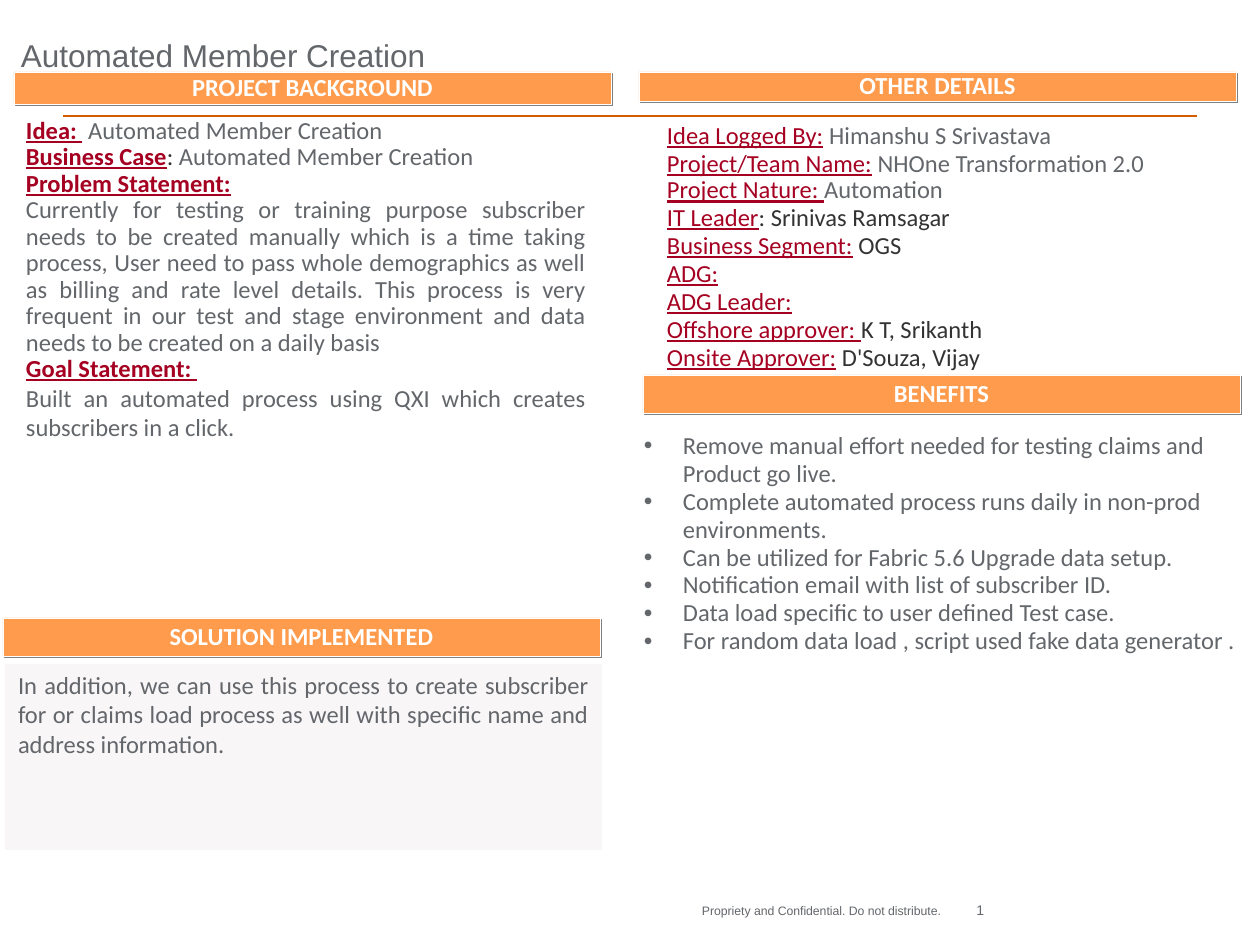
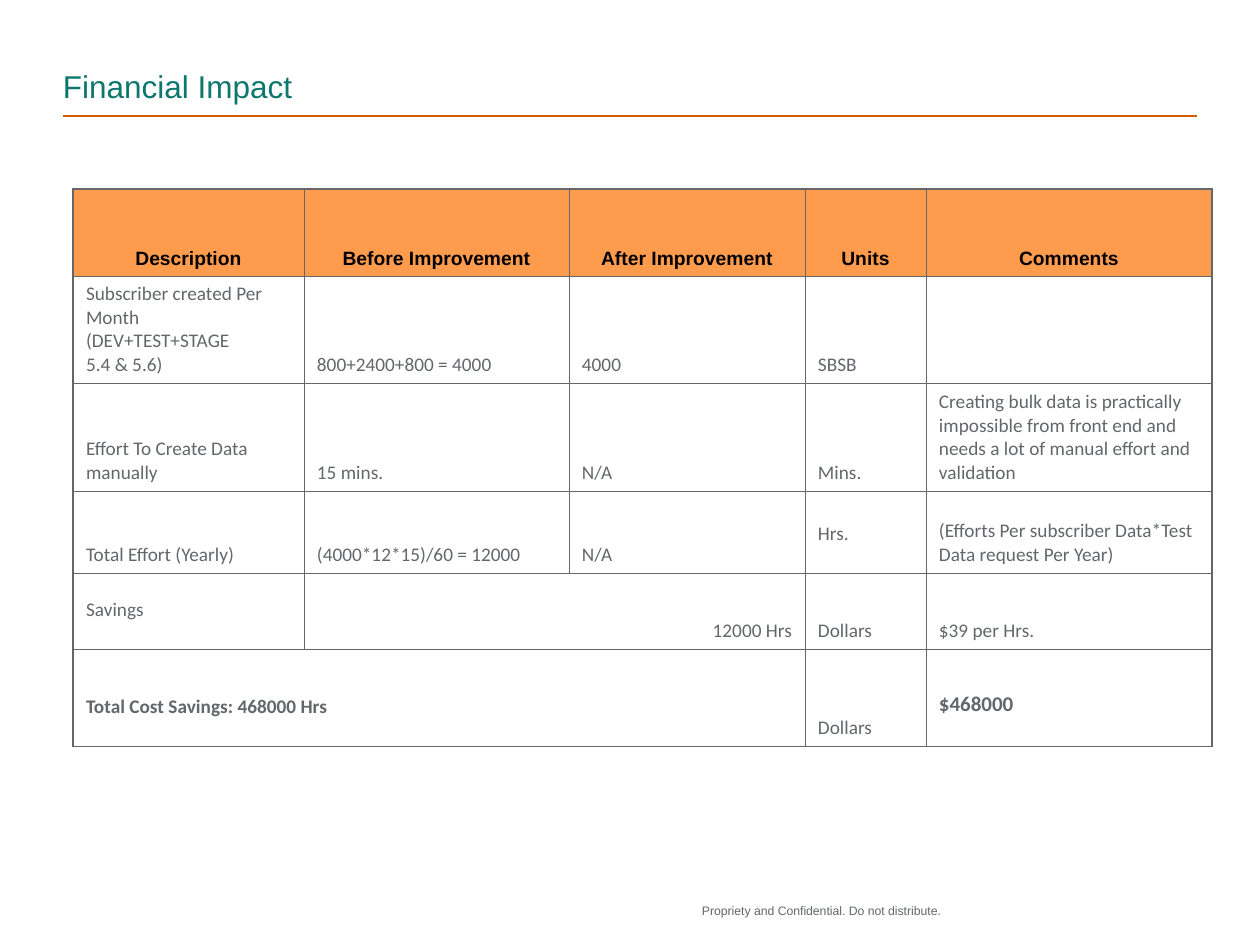
import collections

import pptx
import pptx.dml.color
import pptx.enum.shapes
import pptx.enum.text
import pptx.oxml
import pptx.oxml.ns
import pptx.util

RGB = pptx.dml.color.RGBColor
ALIGN = pptx.enum.text.PP_ALIGN
ANCHOR = pptx.enum.text.MSO_ANCHOR

# Shared colours
GREY = RGB(0x63, 0x66, 0x6A)
DARK = RGB(0x33, 0x33, 0x33)
BLACK = RGB(0, 0, 0)
WHITE = RGB(255, 255, 255)
RED = RGB(0xA5, 0x00, 0x21)
TEAL = RGB(0x0D, 0x77, 0x6E)
ORANGE = RGB(0xFF, 0x9B, 0x4C)
RULE = RGB(0xD4, 0x5D, 0x00)
PALE = RGB(0xF4, 0xF0, 0xF3)
SHADOW = RGB(0x80, 0x80, 0x80)

# Shared text styles
Style = collections.namedtuple("Style", "size color bold underline font",
                               defaults=(False, False, "Calibri"))
BODY = Style(14, GREY)
BODY_DARK = Style(14, DARK)
LABEL = Style(14, RED, underline=True)
BOLD_LABEL = LABEL._replace(bold=True)
BAND = Style(14, WHITE, bold=True)
CELL = Style(11, GREY)
CELL_BOLD = CELL._replace(bold=True)
HEADER = Style(11, BLACK, bold=True, font="Arial")

PX_PER_INCH = 126
INSETS = (13, 6, 13, 6)
NO_INSETS = (0, 0, 0, 0)


def px(length):
    return pptx.util.Emu(round(length * 914400 / PX_PER_INCH))


def xml(tag, body="", attributes=""):
    return pptx.oxml.parse_xml(
        f'<a:{tag} {pptx.oxml.ns.nsdecls("a")} {attributes}>{body}</a:{tag}>')


def color_xml(color, inner=""):
    return f'<a:srgbClr val="{color}">{inner}</a:srgbClr>'


# Text
def setup_frame(frame, insets=INSETS, anchor=ANCHOR.TOP, wrap=True):
    frame.word_wrap = wrap
    frame.vertical_anchor = anchor
    (frame.margin_left, frame.margin_top,
     frame.margin_right, frame.margin_bottom) = map(px, insets)


def write_paras(frame, paras, align=ALIGN.LEFT, spacing=1.0):
    """Write paragraphs, each a list of (text, style) runs."""
    added = []
    for index, runs in enumerate(paras):
        para = frame.add_paragraph() if index else frame.paragraphs[0]
        para.alignment = align
        para.line_spacing = spacing
        for text, style in runs:
            span = para.add_run()
            span.text = text
            font = span.font
            font.name = style.font
            font.size = pptx.util.Pt(style.size)
            font.bold = style.bold
            font.underline = style.underline
            font.color.rgb = style.color
        added.append(para)
    return added


def add_text(page, place, paras, align=ALIGN.LEFT, spacing=1.0, **frame_options):
    box = page.shapes.add_textbox(*map(px, place))
    setup_frame(box.text_frame, **frame_options)
    return write_paras(box.text_frame, paras, align, spacing)


def add_bullets(page, place, items):
    indent = px(39)
    for para in add_text(page, place, [[(item, BODY)] for item in items], spacing=0.95):
        properties = para._p.get_or_add_pPr()
        properties.set("marL", str(indent))
        properties.set("indent", str(-indent))
        properties.append(xml("buClr", color_xml(GREY)))
        properties.append(xml("buFont", attributes='typeface="Arial"'))
        properties.append(xml("buChar", attributes='char="•"'))


# Shapes
def add_rectangle(page, place, color):
    box = page.shapes.add_shape(pptx.enum.shapes.MSO_SHAPE.RECTANGLE, *map(px, place))
    box.shadow.inherit = False
    box.fill.solid()
    box.fill.fore_color.rgb = color
    box.line.fill.background()
    return box


def add_band(page, place, heading):
    box = add_rectangle(page, place, ORANGE)
    box.line.color.rgb = WHITE
    box.line.width = pptx.util.Pt(0.25)
    effects = box._element.spPr.find(pptx.oxml.ns.qn("a:effectLst"))
    effects.append(xml("outerShdw", color_xml(SHADOW),
                       'dist="17780" dir="2700000" algn="ctr" rotWithShape="0"'))
    setup_frame(box.text_frame, anchor=ANCHOR.MIDDLE, wrap=False)
    write_paras(box.text_frame, [[(heading, BAND)]], ALIGN.CENTER, 0.95)


def add_pale_panel(page, place, text):
    box = add_rectangle(page, place, PALE)
    tint = box._element.spPr.find(".//" + pptx.oxml.ns.qn("a:srgbClr"))
    tint.append(xml("alpha", attributes='val="60000"'))
    setup_frame(box.text_frame)
    write_paras(box.text_frame, [[(text, BODY)]], ALIGN.JUSTIFY)


def add_page(deck, title, title_place, title_color):
    """Add a page with the rule, footer and title that all pages share."""
    page = deck.slides.add_slide(deck.slide_layouts[6])
    rule = page.shapes.add_connector(
        pptx.enum.shapes.MSO_CONNECTOR.STRAIGHT, px(63), px(116), px(1197), px(116))
    rule.line.color.rgb = RULE
    rule.line.width = pptx.util.Pt(1)
    rule._element.spPr.append(xml("effectLst"))
    add_text(page, (702, 903, 262, 32),
             [[("Propriety and Confidential. Do not distribute.",
                Style(7, GREY, font="Arial"))]], insets=NO_INSETS, wrap=False)
    add_text(page, title_place, [[(title, Style(18, title_color, font="Arial"))]],
             insets=NO_INSETS, anchor=ANCHOR.BOTTOM)
    return page


# Table
def set_borders(cell, row, column, last_column):
    outer, inner = 1.08, 0.45
    widths = {"lnL": inner if column else outer,
              "lnR": outer if column == last_column else inner,
              "lnT": inner if row else outer,
              "lnB": inner}
    for tag, width in widths.items():
        cell._tc.get_or_add_tcPr().append(
            xml(tag, f"<a:solidFill>{color_xml(GREY)}</a:solidFill>",
                f'w="{pptx.util.Pt(width)}"'))


def fill_cell(cell, text, style, align, lift):
    cell.vertical_anchor = ANCHOR.BOTTOM
    cell.margin_left = cell.margin_right = px(13)
    cell.margin_top = px(6)
    cell.margin_bottom = px(6 + lift)
    if text:
        write_paras(cell.text_frame, [[(line, style)] for line in text.split("\n")], align)


def add_impact_table(page, left, top, widths, heights, rows, merges, special):
    """Fill the grid; special maps (row, column) to (style, alignment, lift)."""
    table = page.shapes.add_table(len(rows), len(widths), px(left), px(top),
                                  px(sum(widths)), px(sum(heights))).table
    table.first_row = table.horz_banding = False
    for column, width in zip(table.columns, widths):
        column.width = px(width)
    for line, height in zip(table.rows, heights):
        line.height = px(height)
    for row, texts in enumerate(rows):
        for column, text in enumerate(texts):
            cell = table.cell(row, column)
            set_borders(cell, row, column, len(widths) - 1)
            if row == 0:
                cell.fill.solid()
                cell.fill.fore_color.rgb = ORANGE
                default = (HEADER, ALIGN.CENTER, 0)
            else:
                cell.fill.background()
                default = (CELL, ALIGN.LEFT, 0)
            fill_cell(cell, text, *special.get((row, column), default))
    for row, first, last in merges:
        table.cell(row, first).merge(table.cell(row, last))


# Pages
def build_summary(deck):
    page = add_page(deck, "Automated Member Creation", (21, -10, 1231, 84), GREY)
    add_text(page, (942, 902, 42, 21), [[("1", Style(8, GREY, font="Arial"))]],
             ALIGN.RIGHT, insets=NO_INSETS)

    # Project background
    add_band(page, (14, 72, 597, 32), "PROJECT BACKGROUND")
    background = [
        [("Idea: ", BOLD_LABEL), (" Automated Member Creation", BODY)],
        [("Business Case", BOLD_LABEL), (": ", BODY_DARK),
         ("Automated Member Creation", BODY)],
        [("Problem Statement:", BOLD_LABEL)],
        [("Currently for testing or training purpose subscriber needs to be created "
          "manually which is a time taking process, User need to pass whole "
          "demographics as well as billing and rate level details. This process is "
          "very frequent in our test and stage environment and data needs to be "
          "created on a daily basis", BODY)],
        [("Goal Statement: ", BOLD_LABEL)],
        [("Built an automated process using QXI which creates subscribers in a click.",
          BODY)],
    ]
    paras = add_text(page, (13, 112, 586, 567), background, ALIGN.JUSTIFY, 0.9)
    paras[-1].line_spacing = 1.0

    # Other details
    add_band(page, (639, 72, 597, 29), "OTHER DETAILS")
    details = [
        ("Idea Logged By:", " Himanshu S Srivastava", BODY),
        ("Project/Team Name:", " NHOne Transformation 2.0", BODY),
        ("Project Nature: ", "Automation", BODY),
        ("IT Leader", ": Srinivas Ramsagar", BODY_DARK),
        ("Business Segment:", " OGS", BODY_DARK),
        ("ADG:", "", BODY_DARK),
        ("ADG Leader:", "", BODY_DARK),
        ("Offshore approver: ", "K T, Srikanth", BODY_DARK),
        ("Onsite Approver:", " D'Souza, Vijay", BODY_DARK),
    ]
    runs = [[(label, LABEL)] + ([(value, style)] if value else [])
            for label, value, style in details]
    paras = add_text(page, (654, 116, 567, 291), runs, spacing=0.95)
    paras[2].line_spacing = 0.9

    # Solution
    add_band(page, (3, 618, 597, 38), "SOLUTION IMPLEMENTED")
    add_pale_panel(page, (5, 664, 597, 186),
                   "In addition, we can use this process to create subscriber for or "
                   "claims load process as well with specific name and address "
                   "information.")

    # Benefits
    add_band(page, (643, 375, 597, 38), "BENEFITS")
    add_bullets(page, (631, 426, 630, 265), [
        "Remove manual effort needed for testing claims and Product go live.",
        "Complete automated process runs daily in non-prod environments.",
        "Can be utilized for Fabric 5.6 Upgrade data setup.",
        "Notification email with list of subscriber ID.",
        "Data load specific to user defined Test case.",
        "For random data load , script used fake data generator .",
    ])


def build_financial_impact(deck):
    page = add_page(deck, "Financial Impact", (63, 21, 1134, 84), TEAL)
    rows = [
        ["Description", "Before Improvement", "After Improvement", "Units", "Comments"],
        ["Subscriber created Per Month\n(DEV+TEST+STAGE\n5.4 & 5.6)",
         "800+2400+800 = 4000", "4000", "SBSB", ""],
        ["Effort To Create Data manually", "15 mins.", "N/A", "Mins.",
         "Creating bulk data is practically impossible from front end and needs a lot "
         "of manual effort and validation"],
        ["Total Effort (Yearly)", "(4000*12*15)/60 = 12000", "N/A", "Hrs.",
         "(Efforts Per subscriber Data*Test Data request Per Year)"],
        ["Savings", "12000 Hrs", "", "Dollars", "$39 per Hrs."],
        ["Total Cost Savings: 468000 Hrs", "", "", "Dollars", "$468000"],
    ]
    special = {
        (3, 3): (CELL, ALIGN.LEFT, 21),
        (4, 0): (CELL, ALIGN.LEFT, 21),
        (4, 1): (CELL, ALIGN.RIGHT, 0),
        (5, 0): (CELL_BOLD, ALIGN.LEFT, 21),
        (5, 4): (CELL_BOLD._replace(size=12), ALIGN.LEFT, 23),
    }
    add_impact_table(page, 73, 189, [231, 265, 236, 121, 286],
                     [87, 107, 108, 82, 76, 97], rows,
                     [(4, 1, 2), (5, 0, 2)], special)


def main():
    deck = pptx.Presentation()
    deck.slide_width, deck.slide_height = px(1260), px(945)
    build_summary(deck)
    build_financial_impact(deck)
    deck.save("out.pptx")


if __name__ == "__main__":
    main()
